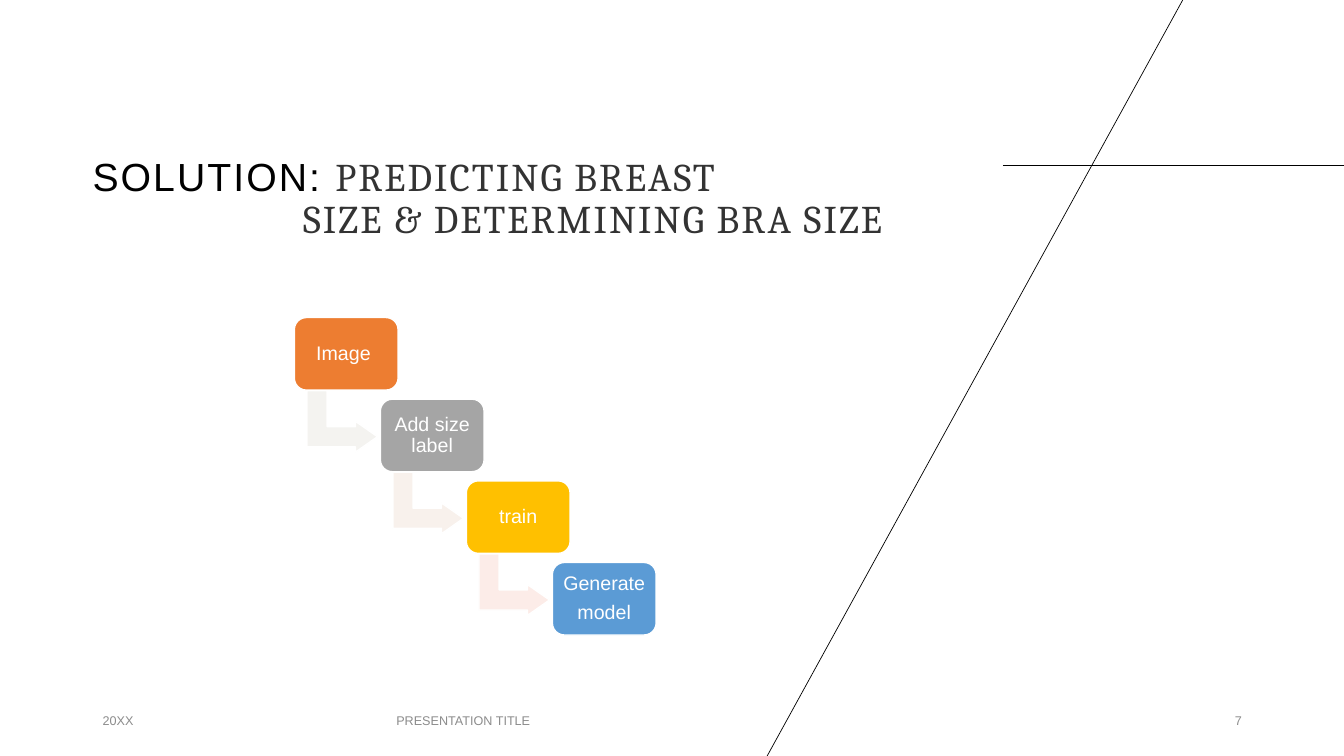
from dataclasses import dataclass

import pptx
import pptx.dml.color
import pptx.enum.shapes
import pptx.enum.text
import pptx.oxml.ns
import pptx.util
from lxml import etree

SHAPE = pptx.enum.shapes.MSO_SHAPE
ALIGN = pptx.enum.text.PP_ALIGN
ANCHOR = pptx.enum.text.MSO_ANCHOR

prs = pptx.Presentation()
prs.slide_width = pptx.util.Inches(13.333)
prs.slide_height = pptx.util.Inches(7.5)
s = prs.slides.add_slide(prs.slide_layouts[6])

# Grid of 160 columns by 90 rows
COL = prs.slide_width / 160
ROW = prs.slide_height / 90


@dataclass
class Box:
    col: float
    row: float
    cols: float
    rows: float

    def emu(self) -> tuple[int, int, int, int]:
        return (round(self.col * COL), round(self.row * ROW),
                round(self.cols * COL), round(self.rows * ROW))


@dataclass
class Step:
    lines: list[str]
    fill: str
    arrow: str | None = None


@dataclass
class Footer:
    text: str
    box: Box
    align: ALIGN


def rgb(value: str) -> pptx.dml.color.RGBColor:
    return pptx.dml.color.RGBColor.from_string(value)


def add_run(p, text: str, *, size: float, color: str, font: str = "Arial", spacing: float = 0):
    r = p.add_run()
    r.text = text
    r.font.size = pptx.util.Pt(size)
    r.font.name = font
    r.font.color.rgb = rgb(color)
    if spacing:
        r.font._element.set("spc", str(round(spacing * 100)))


def add_textbox(box: Box, anchor: ANCHOR):
    tf = s.shapes.add_textbox(*box.emu()).text_frame
    tf.word_wrap = True
    tf.vertical_anchor = anchor
    return tf


def add_line(col1: float, row1: float, col2: float, row2: float):
    line = s.shapes.add_connector(
        pptx.enum.shapes.MSO_CONNECTOR.STRAIGHT,
        round(col1 * COL), round(row1 * ROW), round(col2 * COL), round(row2 * ROW))
    line.line.color.rgb = rgb("000000")
    line.line.width = pptx.util.Pt(0.5)
    etree.SubElement(line._element.spPr, pptx.oxml.ns.qn("a:effectLst"))


def add_shape(kind: SHAPE, box: Box, fill: str, adjustments: list[float]):
    sp = s.shapes.add_shape(kind, *box.emu())
    sp.shadow.inherit = False
    sp.fill.solid()
    sp.fill.fore_color.rgb = rgb(fill)
    sp.line.color.rgb = rgb("FFFFFF")
    sp.line.width = pptx.util.Pt(1)
    for i, value in enumerate(adjustments):
        sp.adjustments[i] = value
    return sp


def add_step(step: Step, col: float, row: float):
    if step.arrow:
        arrow = add_shape(SHAPE.BENT_UP_ARROW, Box(col + 2.04, row + 8.16, 7.32, 8.4),
                          step.arrow, [0.328, 0.25, 0.358])
        arrow.rotation = 90
    sp = add_shape(SHAPE.ROUNDED_RECTANGLE, Box(col, row, 12.36, 8.64), step.fill, [0.167])
    tf = sp.text_frame
    tf.word_wrap = True
    tf.vertical_anchor = ANCHOR.MIDDLE
    tf.margin_left = tf.margin_right = tf.margin_top = tf.margin_bottom = pptx.util.Inches(0.06)
    for i, text in enumerate(step.lines):
        p = tf.add_paragraph() if i else tf.paragraphs[0]
        p.alignment = ALIGN.CENTER
        p.line_spacing = 0.9
        p.space_after = pptx.util.Pt(5)
        add_run(p, text, size=14, color="FFFFFF")


# Decorative lines
add_line(119.4, 19.68, 160, 19.68)
add_line(141, -0.36, 91.2, 90.24)

# Title, second line indented
tf = add_textbox(Box(9.84, 9.48, 112, 24.96), ANCHOR.BOTTOM)
tf.margin_bottom = pptx.util.Inches(0.47)
p = tf.paragraphs[0]
p.line_spacing = 0.9
add_run(p, "SOLUTION: ", size=28, color="000000", spacing=1.5)
add_run(p, "PREDICTING BREAST", size=28, color="333333", font="Cambria", spacing=1.5)
p = tf.add_paragraph()
p.line_spacing = 0.9
p._p.get_or_add_pPr().set("marL", str(round(25.08 * COL)))
add_run(p, "SIZE & DETERMINING BRA SIZE", size=28, color="333333", font="Cambria", spacing=1.5)

# Footer
FOOTERS = [
    Footer("20XX", Box(11.04, 83.4, 16, 4.8), ALIGN.LEFT),
    Footer("PRESENTATION TITLE", Box(32.28, 83.4, 45.72, 4.8), ALIGN.CENTER),
    Footer("7", Box(113.04, 83.4, 36, 4.8), ALIGN.RIGHT),
]
for footer in FOOTERS:
    p = add_textbox(footer.box, ANCHOR.MIDDLE).paragraphs[0]
    p.alignment = footer.align
    add_run(p, footer.text, size=9, color="8C8C8C")

# Staircase of process steps
STEPS = [
    Step(["Image "], "ED7D31", "F4F3F0"),
    Step(["Add size label"], "A5A5A5", "F8F1EC"),
    Step(["train"], "FFC000", "FCECE8"),
    Step(["Generate", "model"], "5B9BD5"),
]
for i, step in enumerate(STEPS):
    add_step(step, 35.04 + 10.24 * i, 37.8 + 9.72 * i)

prs.save("out.pptx")
